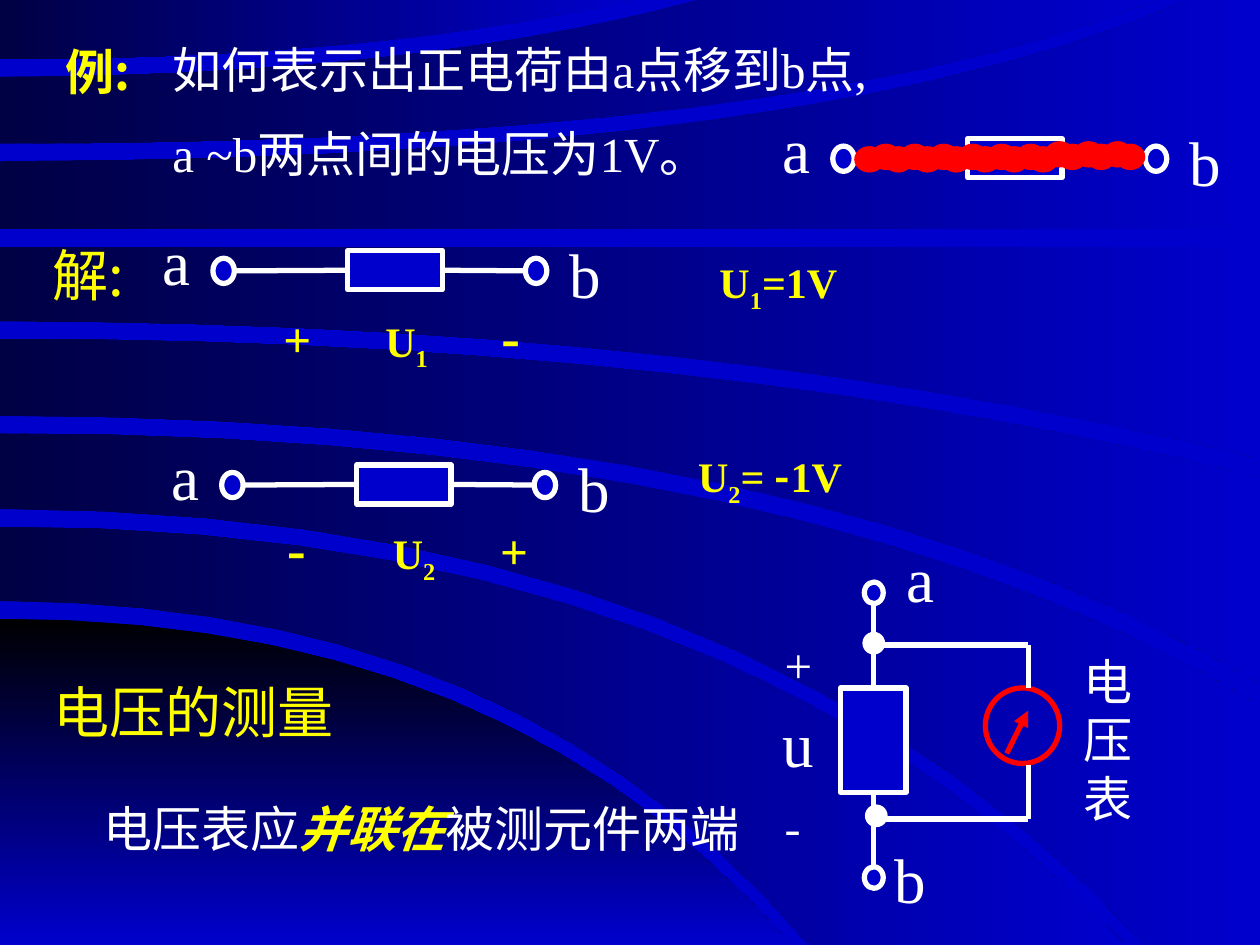
import pptx
import pptx.util
import pptx.dml.color
import pptx.enum.shapes
import pptx.enum.text
import pptx.oxml.ns
from lxml import etree

SERIF, SC, JP = "Times New Roman", "Noto Sans CJK SC", "Noto Sans CJK JP"
BLUE, NAVY, BLACK = "0000CC", "000044", "000000"
WHITE, YELLOW, RED = "FFFFFF", "FFFF00", "FF0000"
KIND = pptx.enum.shapes.MSO_SHAPE
MIDDLE = pptx.enum.text.MSO_ANCHOR.MIDDLE
CENTER = pptx.enum.text.PP_ALIGN.CENTER
WIDTH, HEIGHT = 10, 7.5

# Bright stripes: lower edge at the left, bend, right end of the upper and the lower edge
STRIPE = 0.14
STRIPES = [
    (0.61, 0.59, (5.01, 0), (5.56, 0)),
    (1.28, 0.69, (9.17, 0), (9.43, 0)),
    (1.96, 0.5, (WIDTH, 1.82), (WIDTH, 1.96)),
    (2.69, 0.56, (WIDTH, 3.64), (WIDTH, 3.79)),
    (3.44, 0.64, (WIDTH, 5.42), (WIDTH, 5.6)),
    (4.18, 0.65, (9.09, HEIGHT), (8.93, HEIGHT)),
    (4.91, 0.64, (6.42, HEIGHT), (6.28, HEIGHT)),
]

RESISTORS = [(7.68, 1.1), (2.76, 1.99), (2.83, 3.69)]  # top left of each body
CHARGE_STEP = 0.23
CHARGE_ROWS = [(6.78, 1.16, 10, 7), (6.91, 1.14, 9, 6)]  # left, top, count, where it rises
METER_WIRES = [((6.98, 5.12), (8.16, 5.12)), ((6.98, 6.5), (8.16, 6.5)),
               ((8.16, 5.46), (8.16, 5.12)), ((8.16, 6.07), (8.16, 6.5))]

# Text: place, paragraphs of (text, style) runs, layout options
PLAIN = dict(size=28)
LABEL = dict(size=36)
HEAD = dict(size=32, color=YELLOW, font=SC)
VALUE = dict(size=24, color=YELLOW, bold=True)
INDEX = dict(VALUE, baseline=-25000)
PLUS, MINUS = dict(VALUE, size=28), dict(VALUE, size=32)
TEXTS = [
    ((0.42, -0.06, 8.5, 1.25), [[("例:", dict(HEAD, size=28, bold=True))]], dict(anchor=MIDDLE)),
    ((0.33, 5.32, 4, 0.63), [[("电压的测量", HEAD)]], dict(leading=39)),
    ((0.25, 6.22, 6.5, 0.7),
     [[("电压表应", PLAIN), ("并联在", dict(size=28, color=YELLOW, bold=True, italic=True)),
       ("被测元件两端", PLAIN)]], dict(anchor=MIDDLE, inset=0.57, leading=34)),
    ((1.27, 0.26, 5.83, 1.27),
     [[("如何表示出正电荷由a点移到b点,", PLAIN)], [("a ~b两点间的电压为1V。", PLAIN)]],
     dict(leading=34, gap=14)),
    ((0.32, 1.85, 1.5, 0.63), [[("解:", dict(HEAD, font=JP))]], dict(leading=39)),
    ((5.27, 1.99, 1.75, 0.5), [[("U", VALUE), ("1", INDEX), ("=1V", VALUE)]], dict(inset=0.44)),
    ((5.27, 3.53, 1.75, 0.5),
     [[("U", VALUE), ("2", INDEX), ("= ", VALUE), ("-", dict(VALUE, font=SC)), ("1V", VALUE)]],
     dict(inset=0.27)),
    ((2.15, 2.34, 2.19, 0.63), [[("+", PLUS), ("\tU", VALUE), ("1", INDEX), ("\t-", MINUS)]],
     dict(tabs=(0.81, 1.73))),
    ((2.18, 4.03, 2.19, 0.63), [[("-", MINUS), ("\tU", VALUE), ("2", INDEX), ("\t+", PLUS)]],
     dict(tabs=(0.84, 1.69))),
    ((8.5, 5.12, 0.51, 1.5), [[("电压表", PLAIN)]], dict(leading=33.5)),
    ((6.11, 5.54, 0.52, 0.7), [[("u", LABEL)]], {}),
    ((7.1, 4.23, 0.67, 0.7), [[("a", LABEL)]], {}),
    ((7, 6.62, 0.67, 0.7), [[("b", LABEL)]], {}),
    ((6.13, 4.99, 0.83, 1.97), [[("+", PLAIN)], [("-", dict(PLAIN, font=SC))]], dict(gap=60)),
]

inch, pt = pptx.util.Inches, pptx.util.Pt
deck = pptx.Presentation()
deck.slide_width, deck.slide_height = inch(WIDTH), inch(HEIGHT)
page = deck.slides.add_slide(deck.slide_layouts[6])


def rgb(code):
    return pptx.dml.color.RGBColor.from_string(code)


def sub(parent, tag, **attributes):
    return etree.SubElement(parent, pptx.oxml.ns.qn(tag), attributes)


def arc(y, bend, end, steps=14):
    """Points of a curve that leaves the left side level and bends to its end."""
    shares = [number / steps for number in range(steps + 1)]
    return [(end[0] * (2 * t * (1 - t) * bend + t * t), y + t * t * (end[1] - y)) for t in shares]


def add_band(above, below, start=NAVY, angle=0):
    """Gradient area between two curves, carried to the slide corner where they end on two sides."""
    ends = above[-1], below[-1]
    corner = []
    if ends[0][0] != ends[1][0] and ends[0][1] != ends[1][1]:
        corner = [(WIDTH, y) for x, y in ends if x < WIDTH]
    corners = [(inch(x), inch(y)) for x, y in above + corner + below[::-1]]
    builder = page.shapes.build_freeform(*corners[0], scale=1.0)
    builder.add_line_segments(corners[1:], close=True)
    band = builder.convert_to_shape()
    band.shadow.inherit = False
    band.line.fill.background()
    band.fill.gradient()
    band.fill.gradient_angle = angle
    for stop, color in zip(band.fill.gradient_stops, (start, BLUE)):
        stop.color.rgb = rgb(color)


def add_background():
    page.background.fill.solid()
    page.background.fill.fore_color.rgb = rgb(BLUE)
    above = [(0, 0), STRIPES[0][2]]
    for y, bend, upper_end, lower_end in STRIPES:
        add_band(above, arc(y - STRIPE, bend, upper_end))
        above = arc(y, bend, lower_end)
    add_band(above, [(0, HEIGHT), above[-1]], BLACK, 270)


def add_shape(kind, place, fill=BLUE, line=WHITE, width=3):
    shape = page.shapes.add_shape(kind, *map(inch, place))
    shape.shadow.inherit = False
    if fill:
        shape.fill.solid()
        shape.fill.fore_color.rgb = rgb(fill)
    else:
        shape.fill.background()
    if line:
        shape.line.color.rgb = rgb(line)
        shape.line.width = pt(width)
    else:
        shape.line.fill.background()
    return shape


def add_wire(start, end, color=WHITE, body=None, side=0, arrow=False):
    wire = page.shapes.add_connector(1, *map(inch, start + end))
    wire.line.color.rgb = rgb(color)
    wire.line.width = pt(3)
    if arrow:
        sub(wire.line._get_or_add_ln(), "a:tailEnd", type="triangle")
    sub(wire._element.spPr, "a:effectLst")
    if body is not None:
        wire.begin_connect(body, side)


def add_text(place, lines, anchor=None, inset=0.1, leading=None, gap=0, tabs=(), align=None, wrap=True):
    frame = page.shapes.add_textbox(*map(inch, place)).text_frame
    frame.word_wrap = wrap
    frame.margin_left = inch(inset)
    if anchor is not None:
        frame.vertical_anchor = anchor
    for number, runs in enumerate(lines):
        para = frame.add_paragraph() if number else frame.paragraphs[0]
        para.alignment = align
        if leading:
            para.line_spacing = pt(leading)
        if number:
            para.space_before = pt(gap)
        if tabs:
            stops = sub(para._p.get_or_add_pPr(), "a:tabLst")
            for stop in tabs:
                sub(stops, "a:tab", pos=str(inch(stop)), algn="l")
        for text, style in runs:
            span = para.add_run()
            span.text = text
            font, name = span.font, style.get("font", SERIF)
            font.size = pt(style["size"])
            font.bold, font.italic = style.get("bold", False), style.get("italic", False)
            font.color.rgb = rgb(style.get("color", WHITE))
            font.name = name
            properties = span._r.get_or_add_rPr()
            sub(properties, "a:ea", typeface=SC if name == SERIF else name)
            if "baseline" in style:
                properties.set("baseline", str(style["baseline"]))


def add_resistor(x, y):
    """Horizontal resistor with leads, end rings and the labels a and b."""
    body = add_shape(KIND.RECTANGLE, (x, y, 0.75, 0.31))
    add_wire((x, y + 0.16), (x - 0.98, y + 0.16), body=body, side=1)
    add_wire((x + 0.75, y + 0.16), (x + 1.5, y + 0.16), body=body, side=3)
    for ring in (-1.07, 1.41):
        add_shape(KIND.OVAL, (x + ring, y + 0.06, 0.17, 0.2))
    for name, dx, dy, width in (("a", -1.57, -0.27, 0.42), ("b", 1.66, -0.17, 0.45)):
        add_text((x + dx, y + dy, width, 0.7), [[(name, LABEL)]], anchor=MIDDLE, align=CENTER, wrap=False)


def add_voltmeter():
    """Voltmeter in parallel with the vertical element."""
    for node in ((6.85, 5.02), (6.87, 6.39)):
        add_shape(KIND.OVAL, node + (0.17, 0.17), WHITE, WHITE, 0.75)
    add_shape(KIND.OVAL, (7.82, 5.46, 0.59, 0.6), None, RED)
    for start, end in METER_WIRES:
        add_wire(start, end)
    add_wire((7.99, 5.98), (8.16, 5.64), RED, arrow=True)
    element = add_shape(KIND.RECTANGLE, (6.67, 5.46, 0.52, 0.83))
    for start, end, side, ring in ((5.46, 4.71, 0, 4.62), (6.29, 6.96, 2, 6.88)):
        add_wire((6.93, start), (6.93, end), body=element, side=side)
        add_shape(KIND.OVAL, (6.86, ring, 0.15, 0.17))


add_background()
for corner in RESISTORS:
    add_resistor(*corner)
for left, top, count, rise in CHARGE_ROWS:
    for number in range(count):
        add_shape(KIND.OVAL, (left + number * CHARGE_STEP, top - 0.02 * (number >= rise), 0.24, 0.21), RED, None)
add_voltmeter()
for place, lines, options in TEXTS:
    add_text(place, lines, **options)
deck.save("out.pptx")
